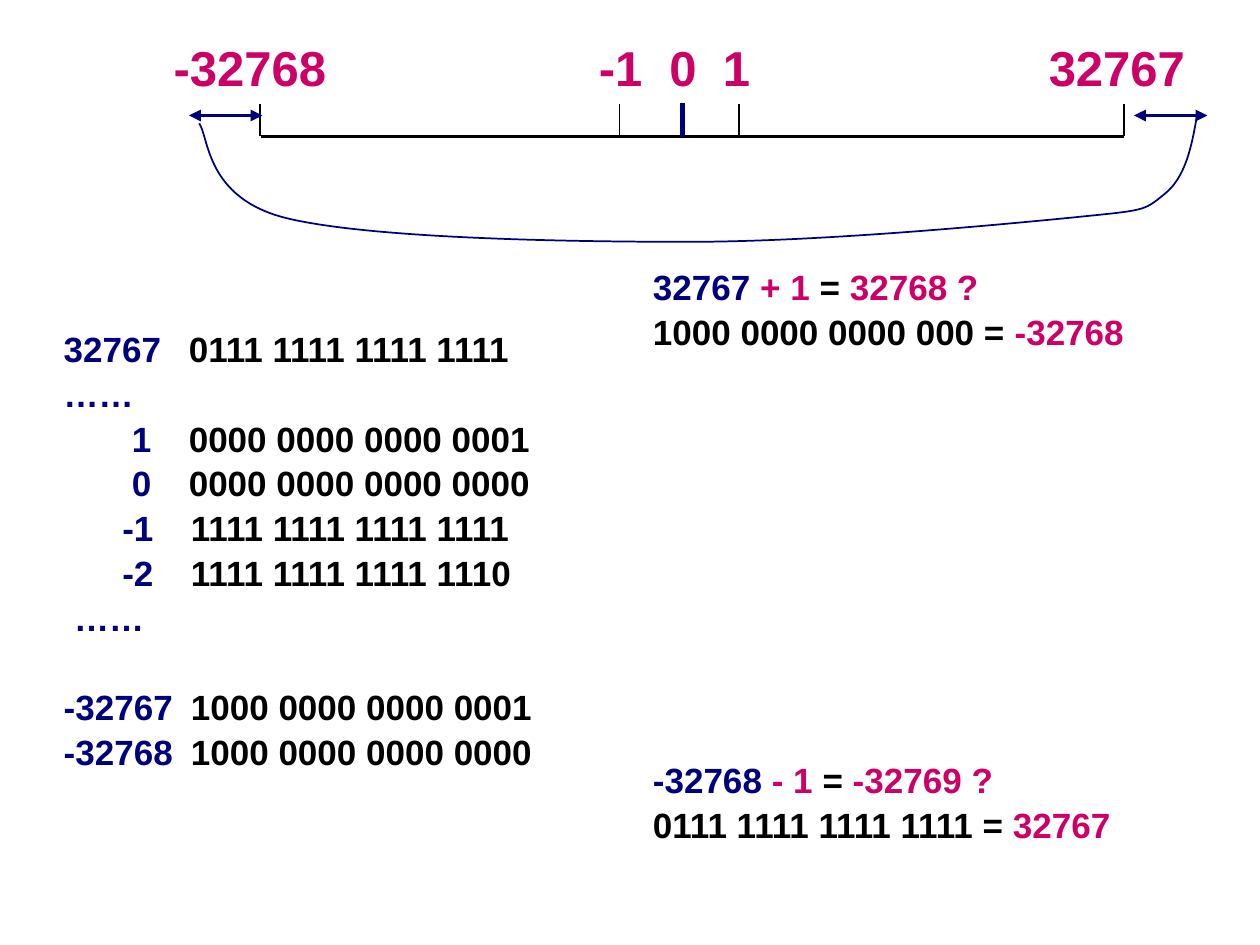
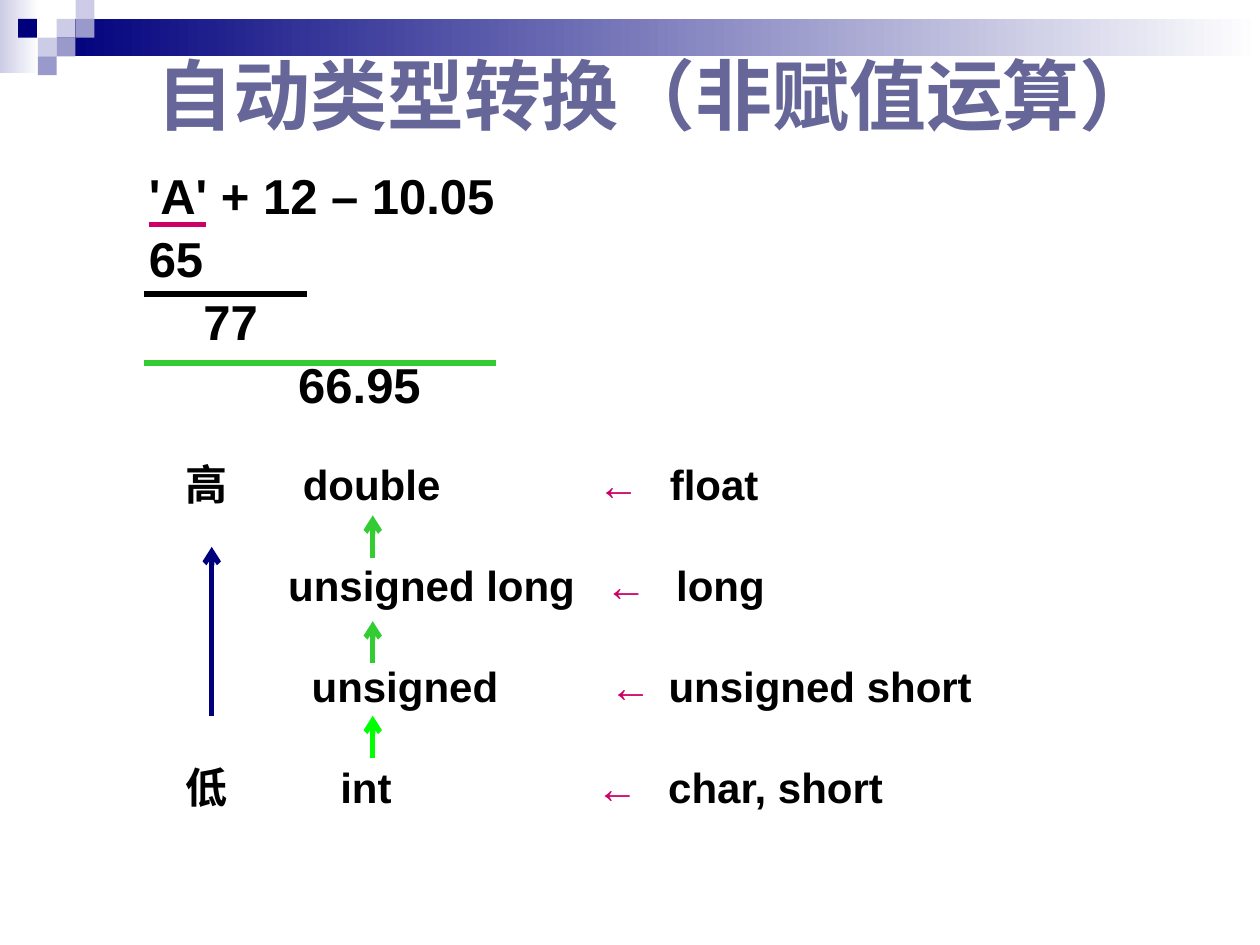
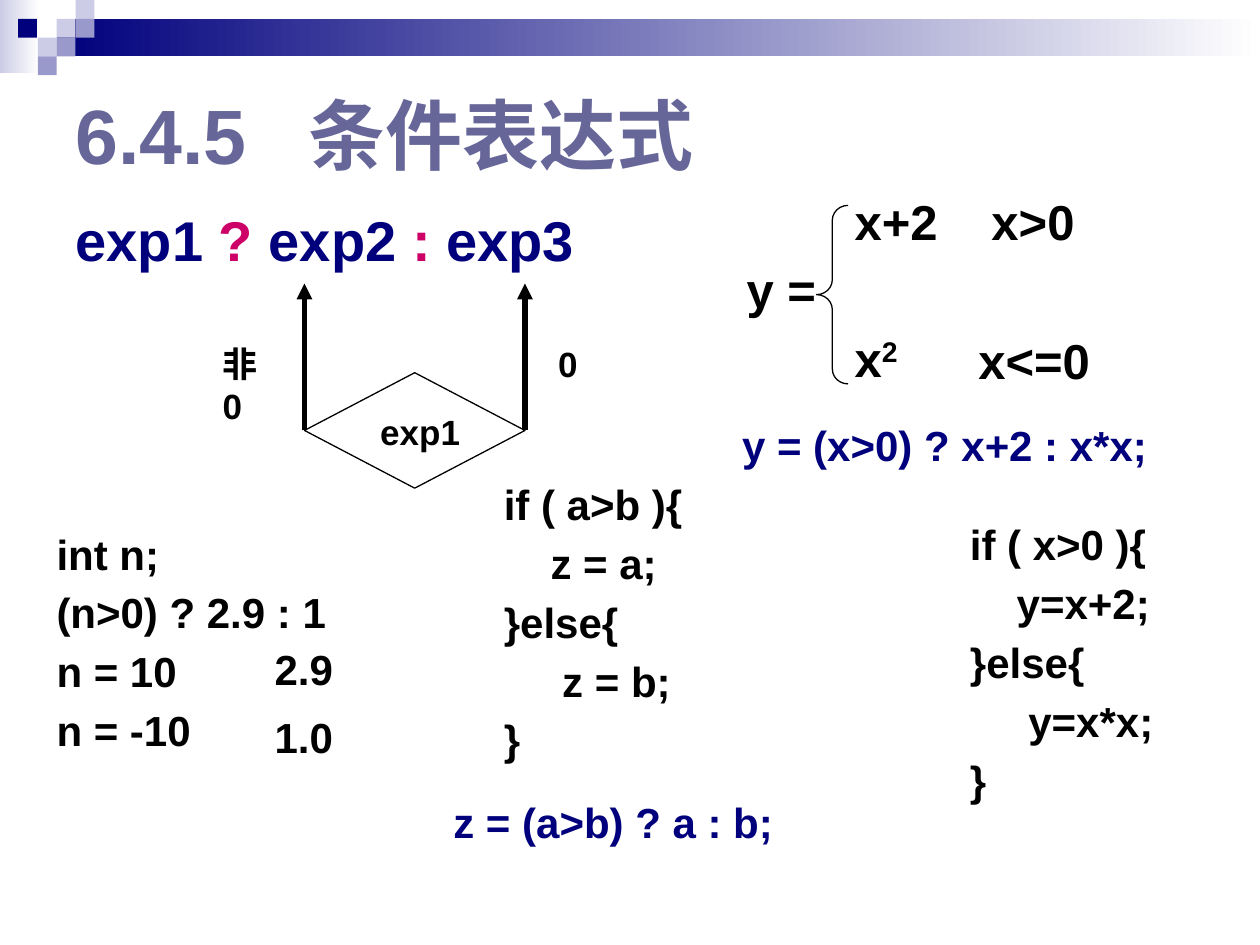
from lxml.etree import SubElement
from pptx import Presentation
from pptx.dml.color import RGBColor
from pptx.enum.shapes import MSO_CONNECTOR, MSO_SHAPE
from pptx.enum.text import MSO_AUTO_SIZE, PP_ALIGN
from pptx.oxml.ns import qn
from pptx.util import Pt

BLACK, NAVY, PINK, GREEN, LIME = "000000", "00007D", "CC0066", "33CC33", "00FF00"
SLATE, PALE, LILAC, WHITE = "666699", "CCCCE6", "9999CC", "FFFFFF"
FONT = "Arial"
TITLE = {"size": 44, "color": SLATE}
rgb = RGBColor.from_string


def write(box, *spans, size=24, color=BLACK, indent=0, tab=None, before=None, spacing=1):
    """Add one paragraph; a span is a string or a (string, colour) pair."""
    frame = box.text_frame
    frame.word_wrap = True
    frame.auto_size = MSO_AUTO_SIZE.NONE
    para = frame.paragraphs[0]
    gap = 0
    if para.runs:
        para = frame.add_paragraph()
        gap = size / 5 if before is None else before
    para.alignment = PP_ALIGN.LEFT
    para.space_before = Pt(gap)
    para.line_spacing = spacing
    props = para._p.get_or_add_pPr()
    props.set("marL", "0")
    SubElement(props, qn("a:buNone"))
    if tab:
        stops = SubElement(props, qn("a:tabLst"))
        SubElement(stops, qn("a:tab"), pos=str(Pt(tab)), algn="l")
    else:
        props.set("indent", str(Pt(indent)))
    for span in spans:
        text, ink = span if isinstance(span, tuple) else (span, color)
        run = para.add_run()
        run.text = text
        run.font.name, run.font.size, run.font.bold = FONT, Pt(size), True
        run.font.color.rgb = rgb(ink)
    return para


def draw_line(page, *ends, color=BLACK, width=1, head="none", tail="none"):
    """Draw a straight line through ends: x and y of start, x and y of end."""
    line = page.shapes.add_connector(MSO_CONNECTOR.STRAIGHT, *map(Pt, ends))
    line.line.color.rgb = rgb(color)
    line.line.width = Pt(width)
    props = line._element.spPr
    outline = props.find(qn("a:ln"))
    SubElement(outline, qn("a:headEnd"), type=head)
    SubElement(outline, qn("a:tailEnd"), type=tail)
    SubElement(props, qn("a:effectLst"))
    return line


deck = Presentation()
deck.slide_width, deck.slide_height = Pt(720), Pt(540)
banded, plain = deck.slide_layouts[1], deck.slide_layouts[3]

# Slide 1: range of a 16-bit integer
page = deck.slides.add_slide(plain)
lowest = page.placeholders[1]
for spare in (page.shapes.title, page.placeholders[2]):
    spare._element.getparent().remove(spare._element)
lowest.left, lowest.top, lowest.width, lowest.height = Pt(92), Pt(18), Pt(120), Pt(42)
write(lowest, "-32768", size=28, color=PINK)
for left, width, text in ((335.2, 45, "-1"), (375.4, 35, "0"),
                          (406, 35, "1"), (592.2, 110, "32767")):
    label = page.shapes.add_textbox(Pt(left), Pt(18), Pt(width), Pt(42))
    write(label, text, size=28, color=PINK)

# Number line, ticks and overflow arrows
draw_line(page, 149, 78, 642.5, 78, width=2.25)
for x in (148.5, 354, 422.5, 642.4):
    draw_line(page, x, 59.5, x, 78)
draw_line(page, 390, 59, 390, 78.5, color=NAVY, width=3)
for x in (108, 648):
    draw_line(page, x, 66, x + 42, 66, color=NAVY, width=2.25,
              head="triangle", tail="triangle")

# Wrap-around curve: a start, then three control points for each bend
bends = [(681, 83.5), (677.5, 101.5), (665.3, 111),
         (653, 121), (655, 120), (610, 124.6),
         (564.5, 129), (467, 138.2), (393, 138.2),
         (318, 138.2), (210, 136), (163.4, 124.6),
         (117.4, 113), (119.5, 78.5), (113.8, 70.5)]
builder = page.shapes.build_freeform(Pt(684), Pt(66))
builder.add_line_segments([(Pt(x), Pt(y)) for x, y in bends], close=False)
curve = builder.convert_to_shape()
curve.shadow.inherit = False
curve.fill.background()
curve.line.color.rgb = rgb(NAVY)
curve.line.width = Pt(1)
steps = curve._element.xpath(".//a:lnTo")
for bend, *others in zip(steps[::3], steps[1::3], steps[2::3]):
    bend.tag = qn("a:cubicBezTo")
    for step in others:
        bend.append(step[0])
        step.getparent().remove(step)

# Numbers and their bit patterns, in two columns
numbers = page.shapes.add_textbox(Pt(18), Pt(186.3), Pt(90), Pt(270))
for indent, text, before in (
        (11.3, "32767", 4), (11.3, "……", 4), (50.3, "1", 4), (50.3, "0", 4),
        (44.8, "-1", 4), (44.8, "-2", 4), (17.3, "……", 4),
        (11.3, "-32767", 29.6), (11.3, "-32768", 4)):
    write(numbers, text, size=20, color=NAVY, indent=indent, before=before, spacing=0.9)
patterns = page.shapes.add_textbox(Pt(100.8), Pt(186.3), Pt(237), Pt(270))
for indent, bits, before in (
        (0, "0111 1111 1111 1111", 4), (0, "0000 0000 0000 0001", 29.6),
        (0, "0000 0000 0000 0000", 4), (1.2, "1111 1111 1111 1111", 4),
        (1.2, "1111 1111 1111 1110", 4), (1.2, "1000 0000 0000 0001", 55.2),
        (1.2, "1000 0000 0000 0000", 4)):
    write(patterns, bits, size=20, indent=indent, before=before, spacing=0.9)

# Overflow questions
overflow = page.shapes.add_textbox(Pt(366), Pt(151), Pt(336), Pt(348))
for before, *spans in (
        (4, ("32767 ", NAVY), ("+ 1 ", PINK), "=", (" 32768 ?", PINK)),
        (4, "1000 0000 0000 000 =", (" -32768", PINK)),
        (234.5, ("-32768 ", NAVY), ("- 1 ", PINK), "=", (" -32769 ?", PINK)),
        (4, "0111 1111 1111 1111 =", (" 32767", PINK))):
    write(overflow, *spans, size=20, before=before, spacing=0.9)

# Slide 2: automatic type conversion
page = deck.slides.add_slide(banded)

# Band and squares, moved to the layout that slides 2 and 3 share
unit = 10.75
decor = [(0, 0, 22.5, 42, PALE, WHITE), (32.4, unit, 687.6, 21.3, NAVY, WHITE)]
decor += [(x, row * unit, unit, unit, fill, None) for x, row, fill in (
    (32.4, 1, PALE), (43.2, 0, PALE), (43.2, 1, LILAC), (21.6, 2, PALE),
    (10.4, 1, NAVY), (32.4, 2, LILAC), (21.6, 3, LILAC))]
for number, (*place, fill, fade) in enumerate(decor):
    block = page.shapes.add_shape(MSO_SHAPE.RECTANGLE, *map(Pt, place))
    block.shadow.inherit = False
    block.line.fill.background()
    if fade:
        block.fill.gradient()
        block.fill.gradient_angle = 0
        for stop, color in zip(block.fill.gradient_stops, (fill, fade)):
            stop.color.rgb = rgb(color)
    else:
        block.fill.solid()
        block.fill.fore_color.rgb = rgb(fill)
    block._element.nvSpPr.cNvPr.set("id", str(100 + number))
    banded.shapes._spTree.insert(2 + number, block._element)

title, sums = page.shapes.title, page.placeholders[1]
title.left, title.top, title.width, title.height = Pt(82), Pt(20.3), Pt(629), Pt(66)
write(title, "自动类型转换（非赋值运算）", **TITLE)

# Worked example
sums.left, sums.top, sums.width, sums.height = Pt(41.8), Pt(95), Pt(289.4), Pt(157.7)
for indent, text in ((36, "'A' + 12 – 10.05"), (36, "65"), (67.2, "77"), (121.4, "66.95")):
    write(sums, text, size=28, indent=indent, spacing=0.9)
for left, right, y, color in ((85, 118, 128.2, PINK), (82.5, 175.5, 168, BLACK),
                              (82.5, 283.5, 207.5, GREEN)):
    draw_line(page, left, y, right, y, color=color, width=3)

# Conversion ladder: left edges and texts of each row
for row, cells in enumerate((
        ((99, "高"), (166, "double"), (334.5, "←"), (375.7, "float")),
        ((157.6, "unsigned long"), (338.7, "←"), (379.3, "long")),
        ((171, "unsigned"), (341.3, "←"), (375, "unsigned short")),
        ((99, "低"), (187.4, "int"), (333.7, "←"), (374.8, "char, short")))):
    for left, text in cells:
        cell = page.shapes.add_textbox(Pt(left), Pt(258.5 + 57.7 * row), Pt(200), Pt(36))
        write(cell, text, color=PINK if text == "←" else BLACK)
for x, bottom, top, color in ((121, 409, 312.5, NAVY), (213, 319, 294.5, GREEN),
                              (213, 379, 355, GREEN), (213, 433, 409, LIME)):
    draw_line(page, x, bottom, x, top, color=color, width=3, tail="arrow")

# Slide 3: conditional expression
page = deck.slides.add_slide(banded)
title, syntax = page.shapes.title, page.placeholders[1]
title.left, title.top, title.width, title.height = Pt(36), Pt(36), Pt(545), Pt(80.6)
write(title, "6.4.5\t条件表达式", tab=133, **TITLE)
syntax.left, syntax.top, syntax.width, syntax.height = Pt(36), Pt(113.8), Pt(307.4), Pt(60)
write(syntax, "exp1 ", ("? ", PINK), "exp2 ", (": ", PINK), "exp3", size=32, color=NAVY)

# Decision diamond with its two branches
diamond = page.shapes.add_shape(MSO_SHAPE.DIAMOND, Pt(174), Pt(213), Pt(126), Pt(66))
brace = page.shapes.add_shape(MSO_SHAPE.LEFT_BRACE, Pt(466.6), Pt(117.4), Pt(18), Pt(102))
brace.adjustments[0] = 0.472
for outline in (diamond, brace):
    outline.shadow.inherit = False
    outline.fill.background()
    outline.line.color.rgb = rgb(BLACK)
    outline.line.width = Pt(0.75)
for x, side in ((174, 1), (300, 3)):
    branch = draw_line(page, x, 246, x, 162, width=3, tail="triangle")
    branch.begin_connect(diamond, side)

# Piecewise function: values, then conditions
values = page.shapes.add_textbox(Pt(419.6), Pt(105.8), Pt(125), Pt(120))
write(values, "x+2", size=28, indent=61.7)
write(values, "y =", size=28)
square = write(values, "x", "2", size=28, indent=61.7)
square.runs[1]._r.get_or_add_rPr().set("baseline", "30000")
conditions = page.shapes.add_textbox(Pt(552), Pt(105.8), Pt(125), Pt(120))
write(conditions, "x>0", size=28, indent=7.5)
write(conditions, "x<=0", size=28, before=46)

# Labels and code: place, format, then (indent, text) for each line
for place, style, lines in (
        ((120.2, 192.2, 45, 31), {"size": 20}, [(0, "非0")]),
        ((311.8, 192.2, 24, 31), {"size": 20}, [(0, "0")]),
        ((210.2, 231, 65, 31), {"size": 20}, [(0, "exp1")]),
        ((417, 236.2, 272, 36), {"color": NAVY}, [(0, "y = (x>0) ? x+2 : x*x;")]),
        ((252, 451.4, 204.5, 36), {"color": NAVY}, [(0, "z = (a>b) ? a : b;")]),
        ((25.2, 298.2, 198, 140), {},
         [(0, "int n;"), (0, "(n>0) ? 2.9 : 1"), (0, "n = 10"), (0, "n = -10")]),
        ((127.4, 366.5, 78, 75.6), {"before": 12, "spacing": 0.94},
         [(22.5, "2.9"), (22.5, "1.0")]),
        ((547.2, 293, 136, 181.4), {},
         [(0, "if ( x>0 ){"), (26.7, "y=x+2;"), (0, "}else{"), (33.4, "y=x*x;"), (0, "}")]),
        ((280.8, 270, 130.3, 175.7), {},
         [(0, "if ( a>b ){"), (26.7, "z = a;"), (0, "}else{"), (33.4, "z = b;"), (0, "}")])):
    box = page.shapes.add_textbox(*map(Pt, place))
    for indent, text in lines:
        write(box, text, indent=indent, **style)

deck.save("out.pptx")
